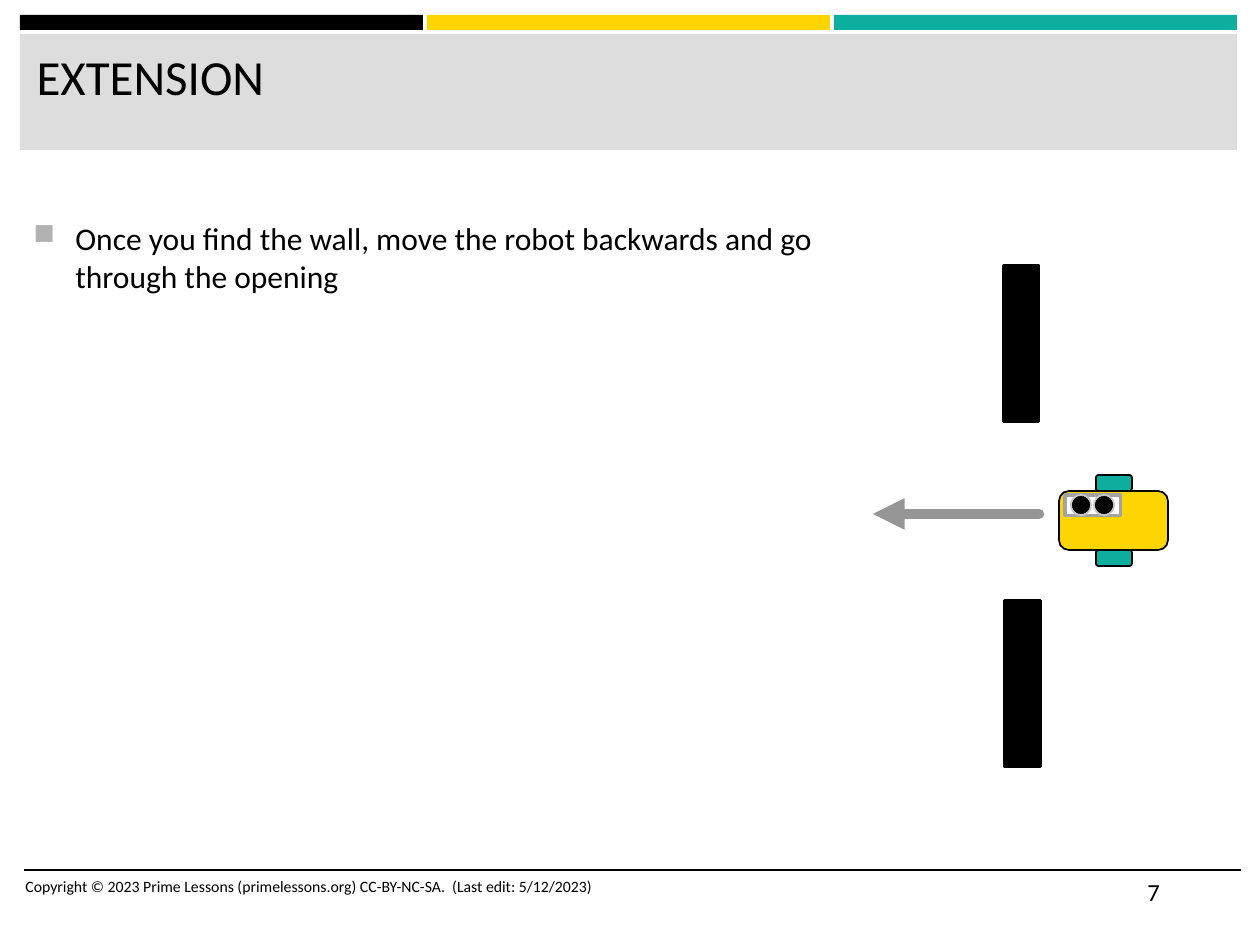
from lxml import etree
from pptx import Presentation
from pptx.dml.color import RGBColor
from pptx.enum.shapes import MSO_CONNECTOR, MSO_SHAPE
from pptx.enum.text import MSO_ANCHOR, PP_ALIGN
from pptx.oxml.ns import qn
from pptx.util import Emu, Pt

RECT = MSO_SHAPE.RECTANGLE
ROUND = MSO_SHAPE.ROUNDED_RECTANGLE
OVAL = MSO_SHAPE.OVAL
STRAIGHT = MSO_CONNECTOR.STRAIGHT
TOP = MSO_ANCHOR.TOP
LEFT = PP_ALIGN.LEFT

PX_PER_INCH = 126
FONT = "Calibri"
BLACK, WHITE, YELLOW, TEAL = "000000", "FFFFFF", "FFD500", "0EAE9F"


def px(value):
    return Emu(round(value * 914400 / PX_PER_INCH))


def color(value):
    return RGBColor.from_string(value)


def add_xml(parent, tag, **attributes):
    return etree.SubElement(parent, qn(tag), attributes)


def add_block(shapes, kind, frame, fill, line=None, width=1):
    block = shapes.add_shape(kind, *map(px, frame))
    block.shadow.inherit = False
    block.fill.solid()
    block.fill.fore_color.rgb = color(fill)
    if line:
        block.line.color.rgb = color(line)
        block.line.width = Pt(width)
    else:
        block.line.fill.background()
    return block


def add_line(page, start, end, line, width):
    connector = page.shapes.add_connector(STRAIGHT, *map(px, start + end))
    connector.line.color.rgb = color(line)
    connector.line.width = Pt(width)
    add_xml(connector.element.spPr, "a:effectLst")
    return connector


def write_text(box, frame, text, size):
    """Place a text holder and fill it with one plain paragraph."""
    box.left, box.top, box.width, box.height = map(px, frame)
    holder = box.text_frame
    holder.word_wrap = True
    holder.vertical_anchor = TOP
    para = holder.paragraphs[0]
    para.alignment = LEFT
    span = para.add_run()
    span.text = text
    for name, value in {"name": FONT, "size": Pt(size), "bold": False}.items():
        setattr(span.font, name, value)
    span.font.color.rgb = color(BLACK)
    return para


def add_text(page, frame, text, size):
    box = page.shapes.add_textbox(*map(px, frame))
    return box, write_text(box, frame, text, size)


def add_bullet(para):
    properties = para._p.get_or_add_pPr()
    indent = px(42)
    properties.set("marL", str(indent))
    properties.set("indent", str(-indent))
    tint = add_xml(properties, "a:buClr")
    add_xml(tint, "a:srgbClr", val="B2B2B2")
    add_xml(properties, "a:buSzPct", val="92000")
    add_xml(properties, "a:buChar", char="■")


def add_header(page):
    for column, fill in enumerate((BLACK, YELLOW, TEAL)):
        add_block(page.shapes, RECT, (20 + 407 * column, 15, 403, 15), fill)
    add_block(page.shapes, RECT, (20, 34, 1217, 116), "DDDDDD")
    title = page.shapes.title
    title.element.getparent().append(title.element)  # in front of the band
    write_text(title, (24, 40, 1206, 103), "EXTENSION", 28)


def add_body(page):
    box, para = add_text(
        page, (21, 157, 815, 701),
        "Once you find the wall, move the robot backwards and go through the opening", 18)
    box.text_frame.margin_top = px(62)
    para.space_after = Pt(6)
    add_bullet(para)


def add_footer(page):
    add_line(page, (24, 870), (1241, 870), BLACK, 1)
    add_text(page, (13, 871, 672, 50),
             "Copyright © 2023 Prime Lessons (primelessons.org) CC-BY-NC-SA.  "
             "(Last edit: 5/12/2023)", 9)
    add_text(page, (1135, 871, 106, 50), "7", 14)


def add_robot(page):
    robot = page.shapes.add_group_shape().shapes
    add_block(robot, ROUND, (1059, 491, 109, 59), YELLOW, BLACK)
    for top in (475, 550):
        add_block(robot, ROUND, (1096, top, 36, 16), TEAL, BLACK)
    face = page.shapes.add_group_shape().shapes
    add_block(face, RECT, (1065, 495, 56, 21), WHITE, "A3A3A3", 1.75)
    for left in (1094, 1071):
        add_block(face, OVAL, (left, 495, 20, 20), BLACK, "C7C7C7")


def add_backward_arrow(page):
    arrow = add_line(page, (1039, 514), (873, 514), "969696", 6)
    outline = arrow.line._get_or_add_ln()
    outline.set("cap", "rnd")
    add_xml(outline, "a:round")
    add_xml(outline, "a:tailEnd", type="triangle")


def main():
    deck = Presentation()
    deck.slide_width, deck.slide_height = px(1260), px(945)
    page = deck.slides.add_slide(deck.slide_layouts[5])
    add_header(page)
    add_body(page)
    add_footer(page)
    for wall in ((1005, 601, 36, 166), (1004, 266, 35, 156)):
        add_block(page.shapes, RECT, wall, BLACK, BLACK, 1.75)
    add_robot(page)
    add_backward_arrow(page)
    deck.save("out.pptx")


if __name__ == "__main__":
    main()
